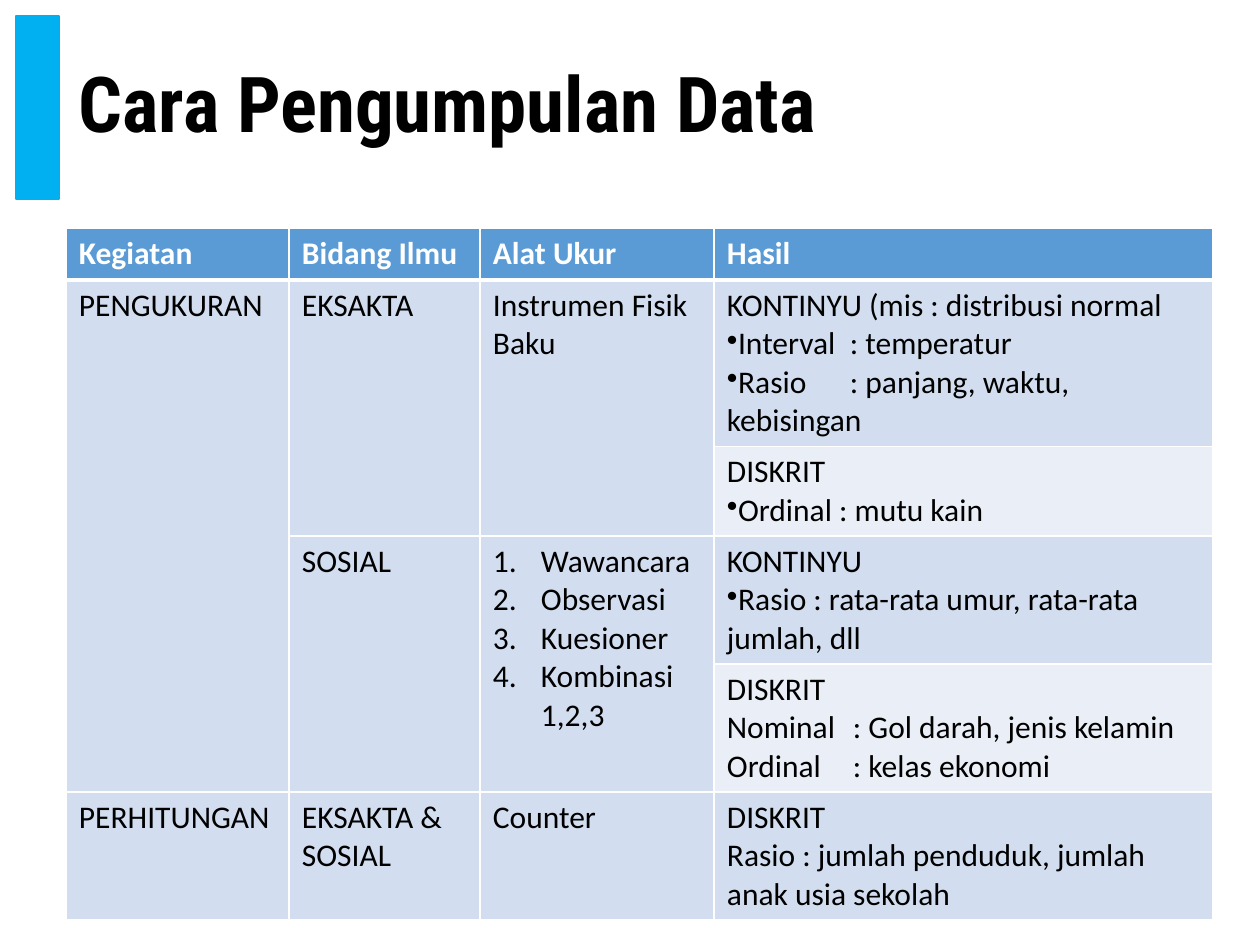
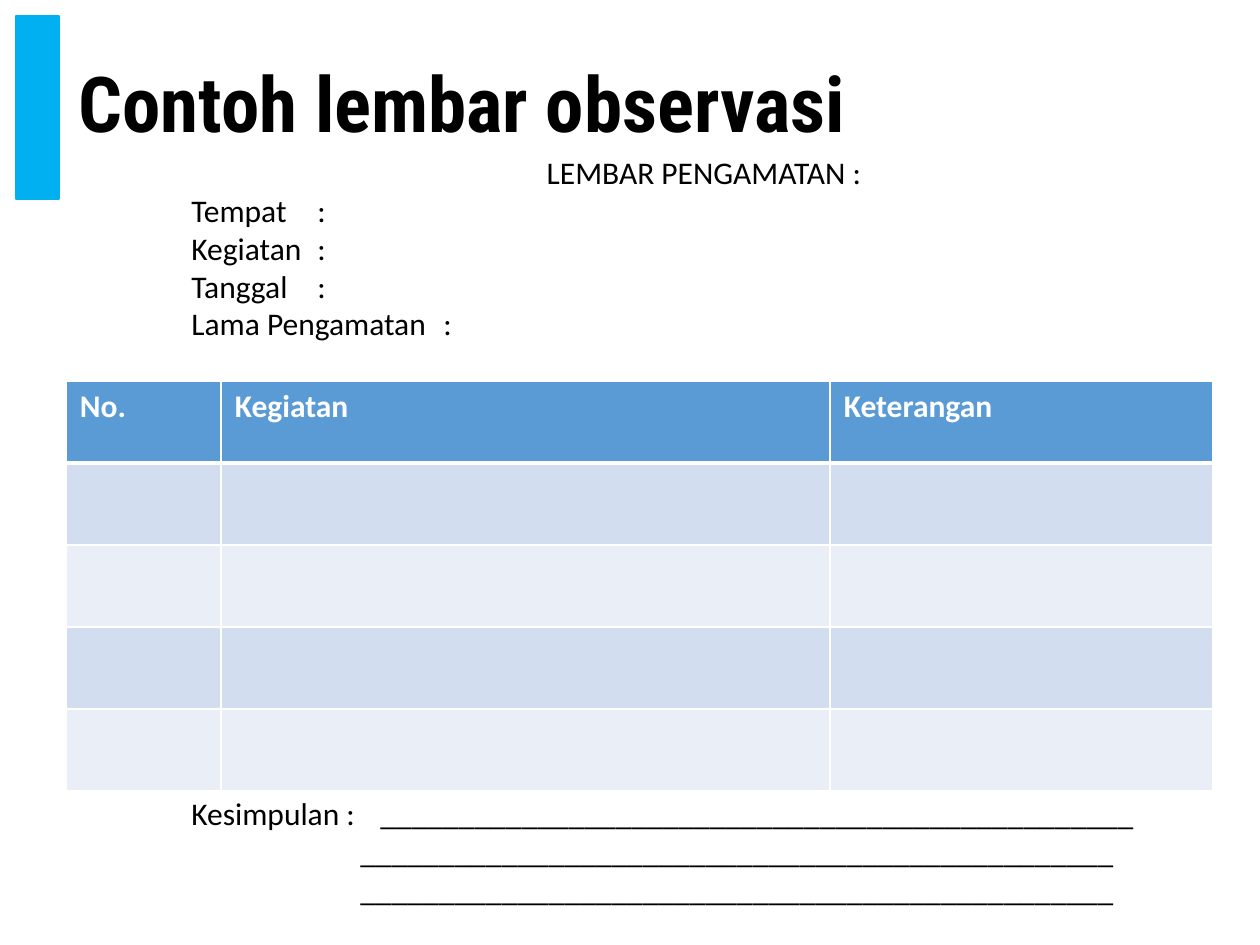
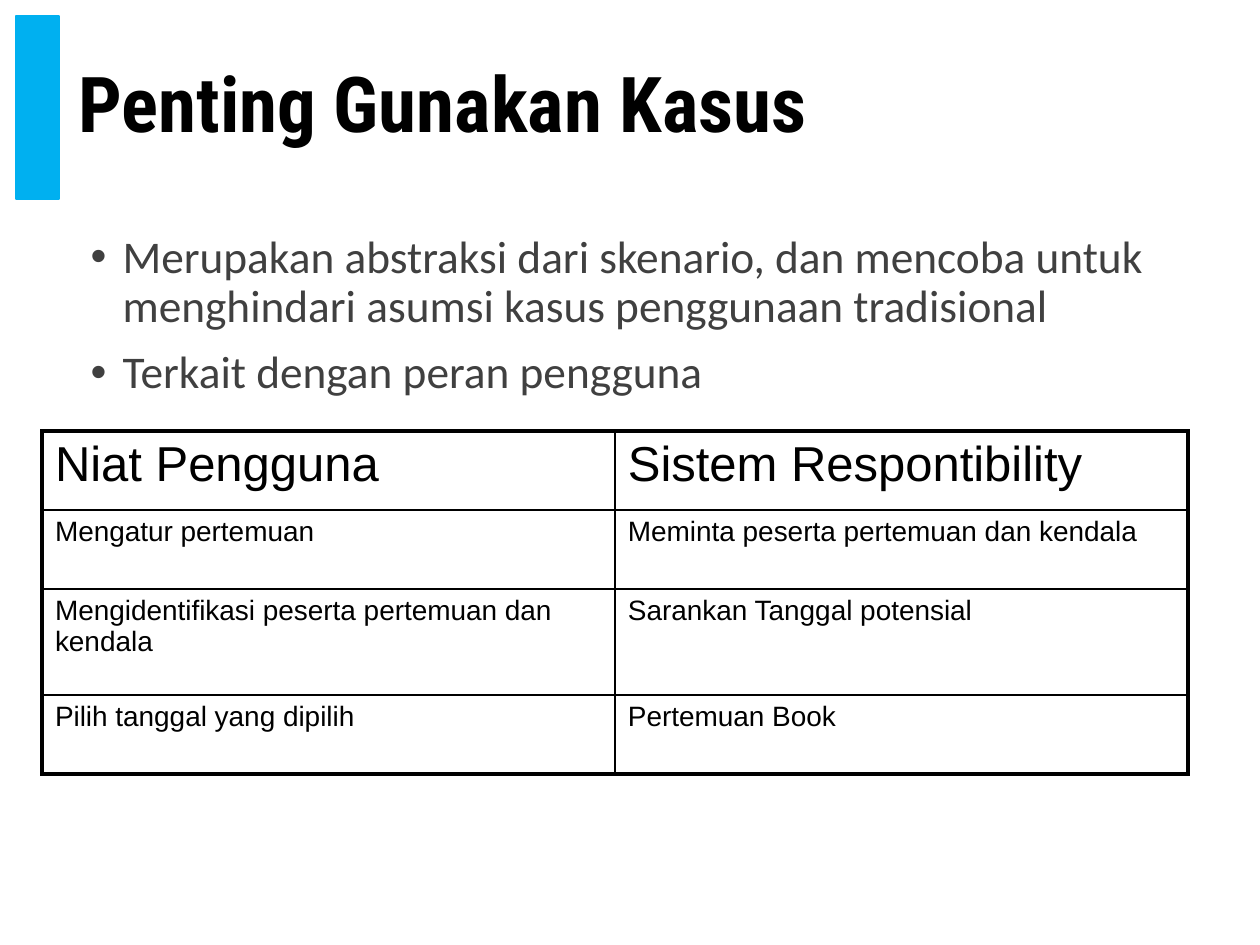
from dataclasses import dataclass
from itertools import product

from lxml.etree import SubElement
from pptx import Presentation
from pptx.dml.color import RGBColor
from pptx.enum.shapes import MSO_SHAPE as SHAPE
from pptx.enum.text import MSO_ANCHOR as ANCHOR, MSO_AUTO_SIZE as FIT, PP_ALIGN as ALIGN
from pptx.oxml.ns import qn
from pptx.util import Emu, Pt

CYAN = RGBColor(0x00, 0xB0, 0xF0)
BLUE = RGBColor(0x5B, 0x9B, 0xD5)
PALE = RGBColor(0xD2, 0xDE, 0xEF)
PALER = RGBColor(0xEA, 0xEF, 0xF7)
WHITE = RGBColor(0xFF, 0xFF, 0xFF)
BLACK = RGBColor(0x00, 0x00, 0x00)
GREY = RGBColor(0x40, 0x40, 0x40)

TITLE_AND_BODY, TITLE_ONLY = 1, 5
BAND = (16, 16, 43, 183)
TITLE = (66, 16, 1147, 183)


@dataclass(frozen=True)
class Style:
    """Look of a run of text."""
    size: float
    font: str = "Calibri"
    color: RGBColor = BLACK
    bold: bool = False


@dataclass(frozen=True)
class Line:
    """One paragraph with its indents, bullet and tab stop in pixels."""
    text: str
    left: int = 0
    first: int = 0
    bullet: str = ""
    tab: int = 0
    align: ALIGN = ALIGN.LEFT


HEADING = Style(44, "Roboto Condensed", BLACK, True)
HEADER = Style(18, color=WHITE, bold=True)
PLAIN = Style(18)
LIST = Style(25.9, color=GREY)


def px(n):
    """Turn pixels into EMU."""
    return Emu(round(n * 914400 / 126))


def place(sp, box):
    """Move and size a shape to a pixel box."""
    sp.left, sp.top, sp.width, sp.height = map(px, box)


def format_line(p, line):
    """Apply indents, bullet and tab stop to a paragraph."""
    p.alignment = line.align
    pPr = p._p.get_or_add_pPr()
    pPr.set("marL", str(px(line.left)))
    pPr.set("indent", str(px(line.first)))
    if line.bullet == "1.":
        SubElement(pPr, qn("a:buAutoNum"), type="arabicPeriod")
    elif line.bullet:
        SubElement(pPr, qn("a:buChar"), char=line.bullet)
    if line.tab:
        stops = SubElement(pPr, qn("a:tabLst"))
        SubElement(stops, qn("a:tab"), pos=str(px(line.tab)), algn="l")


def write(tf, lines, style, spacing=None, before=None):
    """Fill a text frame with paragraphs of one style."""
    for i, line in enumerate(lines):
        line = line if isinstance(line, Line) else Line(line)
        p = tf.add_paragraph() if i else tf.paragraphs[0]
        p.line_spacing, p.space_before = spacing, before
        format_line(p, line)
        r = p.add_run()
        r.text = line.text
        r.font.size, r.font.name = Pt(style.size), style.font
        r.font.bold, r.font.color.rgb = style.bold, style.color


def add_slide(prs, layout, title):
    """Add a slide with the shared band and title."""
    s = prs.slides.add_slide(prs.slide_layouts[layout])
    band = s.shapes.add_shape(SHAPE.RECTANGLE, *map(px, BAND))
    band.shadow.inherit = False
    band.fill.solid()
    band.fill.fore_color.rgb = band.line.color.rgb = CYAN
    band.line.width = Pt(1)
    place(s.shapes.title, TITLE)
    tf = s.shapes.title.text_frame
    tf.vertical_anchor, tf.auto_size, tf.word_wrap = ANCHOR.MIDDLE, FIT.NONE, True
    write(tf, [title], HEADING, 0.9)
    return s


def add_text(s, box, lines):
    """Add a wrapped text box."""
    sp = s.shapes.add_textbox(*map(px, box))
    sp.text_frame.word_wrap = True
    write(sp.text_frame, lines, PLAIN)


def border(cell, color, widths):
    """Draw left, right, top and bottom borders of a cell."""
    tcPr = cell._tc.get_or_add_tcPr()
    for i, (side, width) in enumerate(zip("LRTB", widths)):
        ln = tcPr.makeelement(qn(f"a:ln{side}"), {"w": str(Pt(width))})
        fill = SubElement(ln, qn("a:solidFill"))
        SubElement(fill, qn("a:srgbClr"), val=str(color))
        tcPr.insert(i, ln)


def add_table(s, corner, cols, rows, inset=13):
    """Add a table with the given column widths and row heights."""
    size = sum(cols), sum(rows)
    frame = s.shapes.add_table(len(rows), len(cols), *map(px, corner + size))
    table = frame.table
    for col, width in zip(table.columns, cols):
        col.width = px(width)
    for row, height in zip(table.rows, rows):
        row.height = px(height)
    for cell in table.iter_cells():
        cell.margin_left = cell.margin_right = px(inset)
    return table


def banded_table(s, corner, cols, rows, header, body, spans=(), inset=13):
    """Add a table with a blue header and pale bands; body maps cells to lines."""
    table = add_table(s, corner, cols, rows, inset)
    for r, c in product(range(len(rows)), range(len(cols))):
        cell = table.cell(r, c)
        band = PALE if r % 2 else PALER
        cell.fill.solid()
        cell.fill.fore_color.rgb = band if r else BLUE
        border(cell, WHITE, (1, 1, 3 if r == 1 else 1, 1 if r else 3))
    for top, bottom, c in spans:
        table.cell(top, c).merge(table.cell(bottom, c))
    for c, text in enumerate(header):
        write(table.cell(0, c).text_frame, [text], HEADER)
    for (r, c), lines in body.items():
        write(table.cell(r, c).text_frame, lines, PLAIN)


def framed_table(s, corner, cols, rows, texts):
    """Add an unfilled table with a thick black frame and thin inner lines."""
    table = add_table(s, corner, cols, rows)
    last_row, last_col = len(rows) - 1, len(cols) - 1
    for r, c in product(range(len(rows)), range(len(cols))):
        cell = table.cell(r, c)
        cell.fill.background()
        edges = c == 0, c == last_col, r == 0, r == last_row
        border(cell, BLACK, [2.25 if edge else 1 for edge in edges])
        write(cell.text_frame, [texts[r][c]], Style(16 if r else 28, "Arial"))


def collection_slide(prs):
    """Build the slide on ways of collecting data."""
    s = add_slide(prs, TITLE_ONLY, "Cara Pengumpulan Data")
    tools = ["Wawancara", "Observasi", "Kuesioner", "Kombinasi 1,2,3"]
    body = {
        (1, 0): ["PENGUKURAN"],
        (1, 1): ["EKSAKTA"],
        (1, 2): ["Instrumen Fisik Baku"],
        (1, 3): ["KONTINYU (mis : distribusi normal",
                 Line("Interval\t: temperatur", bullet="•", tab=123),
                 Line("Rasio\t: panjang, waktu, kebisingan", bullet="•", tab=123)],
        (2, 3): ["DISKRIT", Line("Ordinal : mutu kain", bullet="•")],
        (3, 1): ["SOSIAL"],
        (3, 2): [Line(tool, 48, -48, "1.") for tool in tools],
        (3, 3): ["KONTINYU",
                 Line("Rasio : rata-rata umur, rata-rata jumlah, dll", bullet="•")],
        (4, 3): ["DISKRIT",
                 Line("Nominal\t: Gol darah, jenis kelamin", tab=115),
                 Line("Ordinal\t: kelas ekonomi", tab=115)],
        (5, 0): ["PERHITUNGAN"],
        (5, 1): ["EKSAKTA & SOSIAL"],
        (5, 2): ["Counter"],
        (5, 3): ["DISKRIT", "Rasio : jumlah penduduk, jumlah anak usia sekolah"],
    }
    spans = [(1, 4, 0), (1, 2, 1), (1, 2, 2), (3, 4, 1), (3, 4, 2)]
    banded_table(s, (66, 228), (223, 191, 234, 499), (52, 166, 89, 128, 128, 128),
                 ("Kegiatan", "Bidang Ilmu", "Alat Ukur", "Hasil"), body, spans)


def observation_slide(prs):
    """Build the slide with a sample observation sheet."""
    s = add_slide(prs, TITLE_ONLY, "Contoh lembar observasi")
    fields = ["Tempat", "Kegiatan", "Tanggal", "Lama Pengamatan"]
    add_text(s, (179, 147, 1050, 202),
             [Line("LEMBAR PENGAMATAN :", align=ALIGN.CENTER)]
             + [Line(f"{field}\t:", tab=252) for field in fields])
    banded_table(s, (66, 381), (155, 609, 383), (82,) * 5,
                 ("No.", "Kegiatan", "Keterangan"), {}, inset=14)
    rule = "_" * 48
    add_text(s, (179, 788, 1050, 126),
             [Line(f"Kesimpulan :\t{rule}", tab=178)] + [Line(rule, 169)] * 2)


def use_case_slide(prs):
    """Build the slide on essential use cases."""
    s = add_slide(prs, TITLE_AND_BODY, "Penting Gunakan Kasus")
    body = s.placeholders[1]
    place(body, (78, 228, 1134, 210))
    body.text_frame.auto_size = FIT.NONE
    points = ["Merupakan abstraksi dari skenario, dan mencoba untuk "
              "menghindari asumsi kasus penggunaan tradisional",
              "Terkait dengan peran pengguna"]
    write(body.text_frame, [Line(point, 32, -32, "•") for point in points],
          LIST, 0.9, Pt(10))
    framed_table(s, (42, 431), (573, 573), (79, 79, 106, 79), [
        ("Niat Pengguna", "Sistem Respontibility"),
        ("Mengatur pertemuan", "Meminta peserta pertemuan dan kendala"),
        ("Mengidentifikasi peserta pertemuan dan kendala", "Sarankan Tanggal potensial"),
        ("Pilih tanggal yang dipilih", "Pertemuan Book"),
    ])


def main():
    """Build and save the presentation."""
    prs = Presentation()
    prs.slide_width, prs.slide_height = px(1260), px(945)
    collection_slide(prs)
    observation_slide(prs)
    use_case_slide(prs)
    prs.save("out.pptx")


main()
